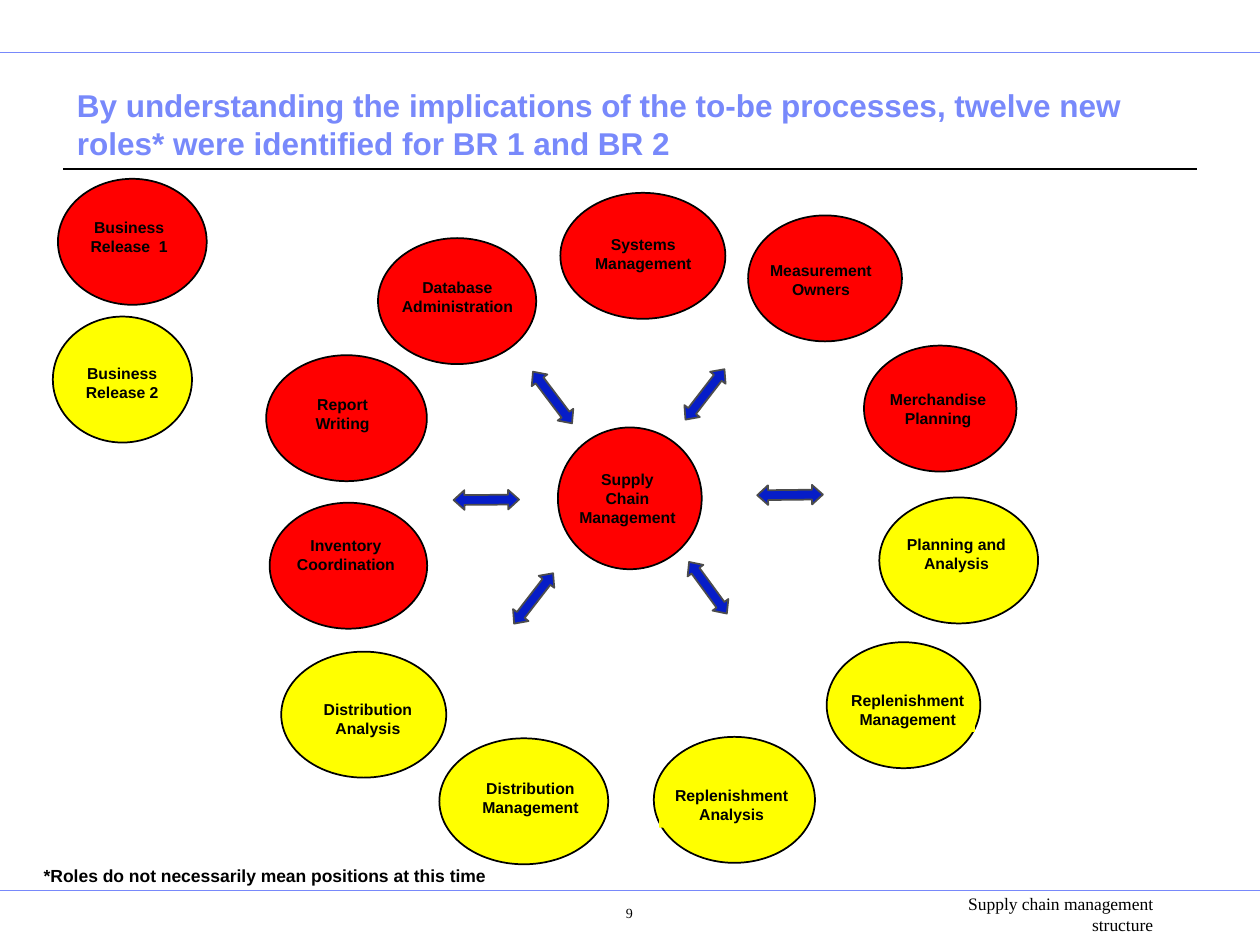
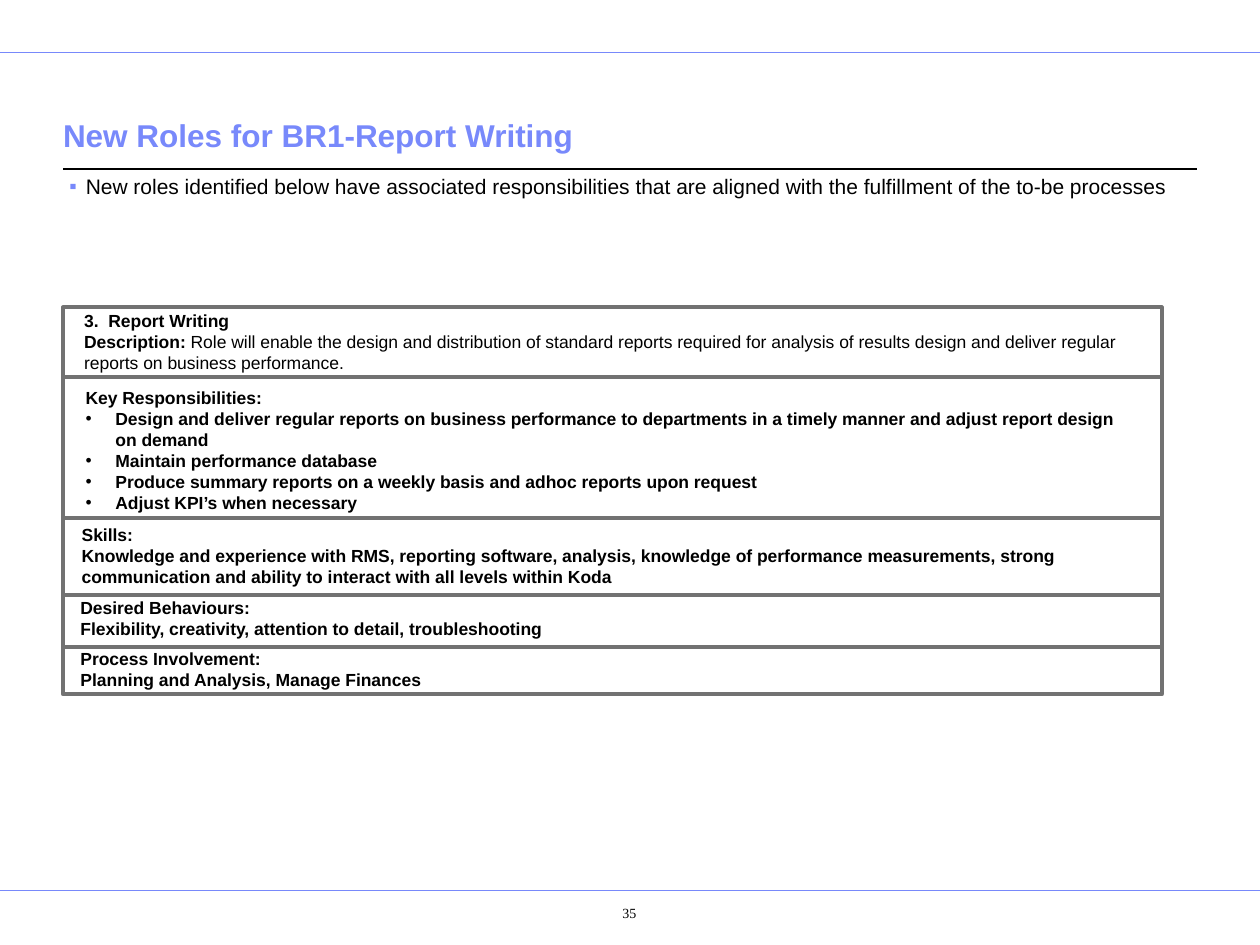
from math import hypot

from lxml.etree import SubElement
from pptx import Presentation
from pptx.dml.color import RGBColor
from pptx.enum.shapes import MSO_CONNECTOR as Connector, MSO_SHAPE as Shape
from pptx.enum.text import MSO_ANCHOR as Anchor, MSO_AUTO_SIZE as AutoSize, PP_ALIGN as Align
from pptx.oxml.ns import qn
from pptx.util import Pt

PERIWINKLE, BLACK, RED, YELLOW = "7889FB", "000000", "FF0000", "FFFF00"
ARROW_BLUE, ARROW_EDGE, FRAME_GREY = "061DC8", "4C4C4C", "727272"
SERIF = "Times New Roman"
RULES = [(0, 720, 30.1, PERIWINKLE, 0.5), (0, 720, 509, PERIWINKLE, 0.5),
         (36, 684, 96.5, BLACK, 0.75)]
LABEL_INSETS = (3.6, 1.44, 3.6, 1.44)
ROLE_HEIGHT, LABEL_HEIGHT = 72, 25.2

ROLES_TITLE = ("By understanding the implications of the to-be processes, twelve new "
               "roles* were identified for BR 1 and BR 2")
FOOTNOTE = "*Roles do not necessarily mean positions at this time"
FOOTER = "Supply chain management structure"
HUB_LINES = ["Supply", "Chain", "Management"]
# Each role: text, fill, ellipse (left, top, width), label (left, top, width)
ROLES = [
    ("Business Release  1", RED, (33.1, 102.2, 85), (44.6, 123.1, 58.3)),
    ("Business Release 2", YELLOW, (30.2, 180.9, 79.5), (44.6, 206.6, 50.4)),
    ("Systems Management", RED, (320.2, 110.2, 94.3), (334.1, 132.5, 67)),
    ("Measurement Owners", RED, (427.5, 123.1, 87.9), (435.6, 147.6, 67)),
    ("Merchandise Planning", RED, (493.7, 197.5, 87.1), (503.3, 221.4, 65.5)),
    ("Planning and Analysis", YELLOW, (502.5, 284.3, 90.7), (513.4, 304.2, 66.2)),
    ("Replenishment Management", YELLOW, (472.4, 367, 87.8), (480.2, 393.1, 77)),
    ("Replenishment Analysis", YELLOW, (373.6, 421.1, 92.1), (376.6, 447.8, 82.8)),
    ("Distribution Management", YELLOW, (251.1, 421.9, 96.5), (271.4, 443.5, 63.4)),
    ("Distribution Analysis", YELLOW, (160.7, 372.4, 94.3), (177.1, 398.2, 66.2)),
    ("Inventory Coordination", RED, (154.1, 287.3, 90), (161.3, 304.6, 72.7)),
    ("Report Writing", RED, (152.1, 203, 91.8), (170.6, 223.9, 50.4)),
    ("Database Administration", RED, (216, 136.1, 90.4), (223.2, 157, 76.3)),
]
ARROWS = [
    ((304.6, 212.4), (326.9, 241.9)), ((391.7, 239.8), (414, 211)),
    ((432.7, 283), (470.2, 282.6)), ((259.2, 285.8), (296.6, 285.5)),
    ((393.8, 321.1), (415.4, 350.6)), ((293.8, 356.4), (316.1, 327.6)),
]

WRITING_TITLE = "New Roles for BR1-Report Writing"
WRITING_INTRO = ("New roles identified below have associated responsibilities that are aligned "
                 "with the fulfillment of the to-be processes")
SECTIONS = [
    {"height": 39.7, "text_at": (41, 173.8, 622.8), "heading": "3.  Report Writing",
     "lead": "Description: ",
     "lines": ["Role will enable the design and distribution of standard reports required for "
               "analysis of results design and deliver regular reports on business performance."]},
    {"height": 80.6, "text_at": (41.8, 217.6, 604.8), "heading": "Key Responsibilities:",
     "bullet": "•",
     "lines": ["Design and deliver regular reports on business performance to departments in a "
               "timely manner and adjust report design on demand",
               "Maintain performance database",
               "Produce summary reports on a weekly basis and adhoc reports upon request",
               "Adjust KPI’s when necessary"]},
    {"height": 43.9, "text_at": (39.6, 295.9, 624.2), "heading": "Skills:",
     "lines": ["Knowledge and experience with RMS, reporting software, analysis, knowledge of "
               "performance measurements, strong communication and ability to interact with all "
               "levels within Koda"]},
    {"height": 29.6, "text_at": (38.9, 337.7, 345.6), "heading": "Desired Behaviours:",
     "lines": ["Flexibility, creativity, attention to detail, troubleshooting"]},
    {"height": 27.3, "text_at": (38.9, 366.5, 258.5), "heading": "Process Involvement:",
     "lines": ["Planning and Analysis, Manage Finances"]},
]


def rgb(code):
    return RGBColor.from_string(code)


def points(*lengths):
    return [Pt(length) for length in lengths]


def add_bullet(para, mark, color, indent):
    props = para._p.get_or_add_pPr()
    props.set("marL", str(Pt(indent)))
    props.set("indent", str(-Pt(indent)))
    SubElement(SubElement(props, qn("a:buClr")), qn("a:srgbClr")).set("val", color)
    SubElement(props, qn("a:buFont")).set("typeface", "Arial")
    SubElement(props, qn("a:buChar")).set("char", mark)


def write(frame, text, size=10, bold=True, color=BLACK, font="Arial", align=Align.LEFT,
          spacing=1.0, lead="", bullet=None, bullet_color=BLACK, indent=17.1):
    """Add one paragraph to the frame, with an optional bold lead-in and bullet."""
    para = frame.paragraphs[0] if not frame.text else frame.add_paragraph()
    if bullet:
        add_bullet(para, bullet, bullet_color, indent)
    para.alignment, para.line_spacing, para.space_before = align, spacing, Pt(0)
    for words, weight in ((lead, True), (text, bold)):
        if words:
            span = para.add_run()
            span.text = words
            span.font.name, span.font.size, span.font.bold = font, Pt(size), weight
            span.font.color.rgb = rgb(color)


def set_frame(frame, insets=(7.2, 3.6, 7.2, 3.6), anchor=Anchor.TOP, wrap=True):
    frame.auto_size, frame.word_wrap, frame.vertical_anchor = AutoSize.NONE, wrap, anchor
    (frame.margin_left, frame.margin_top,
     frame.margin_right, frame.margin_bottom) = points(*insets)
    return frame


def add_box(page, place, fill=None, **layout):
    box = page.shapes.add_textbox(*points(*place))
    if fill:
        box.fill.solid()
        box.fill.fore_color.rgb = rgb(fill)
    return set_frame(box.text_frame, **layout)


def fill_holder(holder, place, text, insets, anchor=Anchor.TOP, **style):
    holder.left, holder.top, holder.width, holder.height = points(*place)
    write(set_frame(holder.text_frame, insets, anchor), text, **style)


def paint(shape, fill, line, width):
    shape.shadow.inherit = False
    if fill:
        shape.fill.solid()
        shape.fill.fore_color.rgb = rgb(fill)
    else:
        shape.fill.background()
    shape.line.color.rgb = rgb(line)
    shape.line.width = Pt(width)


def start_page(deck, layout, title, title_at, number):
    page = deck.slides.add_slide(deck.slide_layouts[layout])
    for left, right, height, color, width in RULES:
        rule = page.shapes.add_connector(Connector.STRAIGHT, *points(left, height, right, height))
        rule.line.color.rgb = rgb(color)
        rule.line.width = Pt(width)
        SubElement(rule._element.spPr, qn("a:effectLst"))
    fill_holder(page.shapes.title, (*title_at, 648, 45.4), title, (0, 3.6, 0, 3.6),
                Anchor.BOTTOM, size=18, color=PERIWINKLE)
    frame = add_box(page, (307.4, 511.9, 82.8, 25.2), insets=(28.8, 5, 7.2, 3.6))
    write(frame, number, size=8, bold=False, font=SERIF, align=Align.CENTER)
    return page


def add_ellipse(page, place, fill):
    paint(page.shapes.add_shape(Shape.OVAL, *points(*place)), fill, BLACK, 1)


def add_double_arrow(page, start, end, head=6.2, wing=5.6, shaft=2.8):
    length = hypot(end[0] - start[0], end[1] - start[1])
    across, down = (end[0] - start[0]) / length, (end[1] - start[1]) / length
    far = length - head
    outline = [(0, 0), (head, wing), (head, shaft), (far, shaft), (far, wing),
               (length, 0), (far, -wing), (far, -shaft), (head, -shaft), (head, -wing)]
    corners = [points(start[0] + along * across - side * down,
                      start[1] + along * down + side * across) for along, side in outline]
    builder = page.shapes.build_freeform(*corners[0])
    builder.add_line_segments(corners[1:], close=True)
    paint(builder.convert_to_shape(), ARROW_BLUE, ARROW_EDGE, 1)


def build_roles_page(deck):
    page = start_page(deck, 5, ROLES_TITLE, (43.9, 50.4), "9")
    add_ellipse(page, (318.8, 244.3, 82.2, 81), RED)
    hub = add_box(page, (327.6, 267.1, 61.9, 36), RED, insets=LABEL_INSETS, wrap=False)
    for line in HUB_LINES:
        write(hub, line, size=9, align=Align.CENTER)
    for text, fill, ellipse_at, label_at in ROLES:
        add_ellipse(page, (*ellipse_at, ROLE_HEIGHT), fill)
        label = add_box(page, (*label_at, LABEL_HEIGHT), fill, insets=LABEL_INSETS)
        write(label, text, size=9, align=Align.CENTER)
    for start, end in ARROWS:
        add_double_arrow(page, start, end)
    write(add_box(page, (18, 491, 266.4, 19.4), wrap=False), FOOTNOTE, align=Align.CENTER)
    write(add_box(page, (509.8, 506.9, 156.2, 31)), FOOTER, bold=False, font=SERIF,
          align=Align.RIGHT)


def build_writing_page(deck):
    page = start_page(deck, 1, WRITING_TITLE, (36, 46.1), "35")
    fill_holder(page.placeholders[1], (36, 95, 648, 396.7), WRITING_INTRO, (3.6,) * 4,
                size=12, bold=False, spacing=1.04, bullet="▪", bullet_color=PERIWINKLE,
                indent=9.4)
    top = 175.7
    for section in SECTIONS:
        cell = page.shapes.add_shape(Shape.RECTANGLE, *points(36, top, 627.8, section["height"]))
        paint(cell, None, FRAME_GREY, 2.25)
        top += section["height"]
    for section in SECTIONS:
        lead = section.get("lead", "")
        frame = add_box(page, (*section["text_at"], section["height"]))
        write(frame, section["heading"])
        for line in section["lines"]:
            write(frame, line, bold=not lead, lead=lead, bullet=section.get("bullet"))


def main():
    deck = Presentation()
    deck.slide_width, deck.slide_height = points(720, 540)
    build_roles_page(deck)
    build_writing_page(deck)
    deck.save("out.pptx")


if __name__ == "__main__":
    main()
